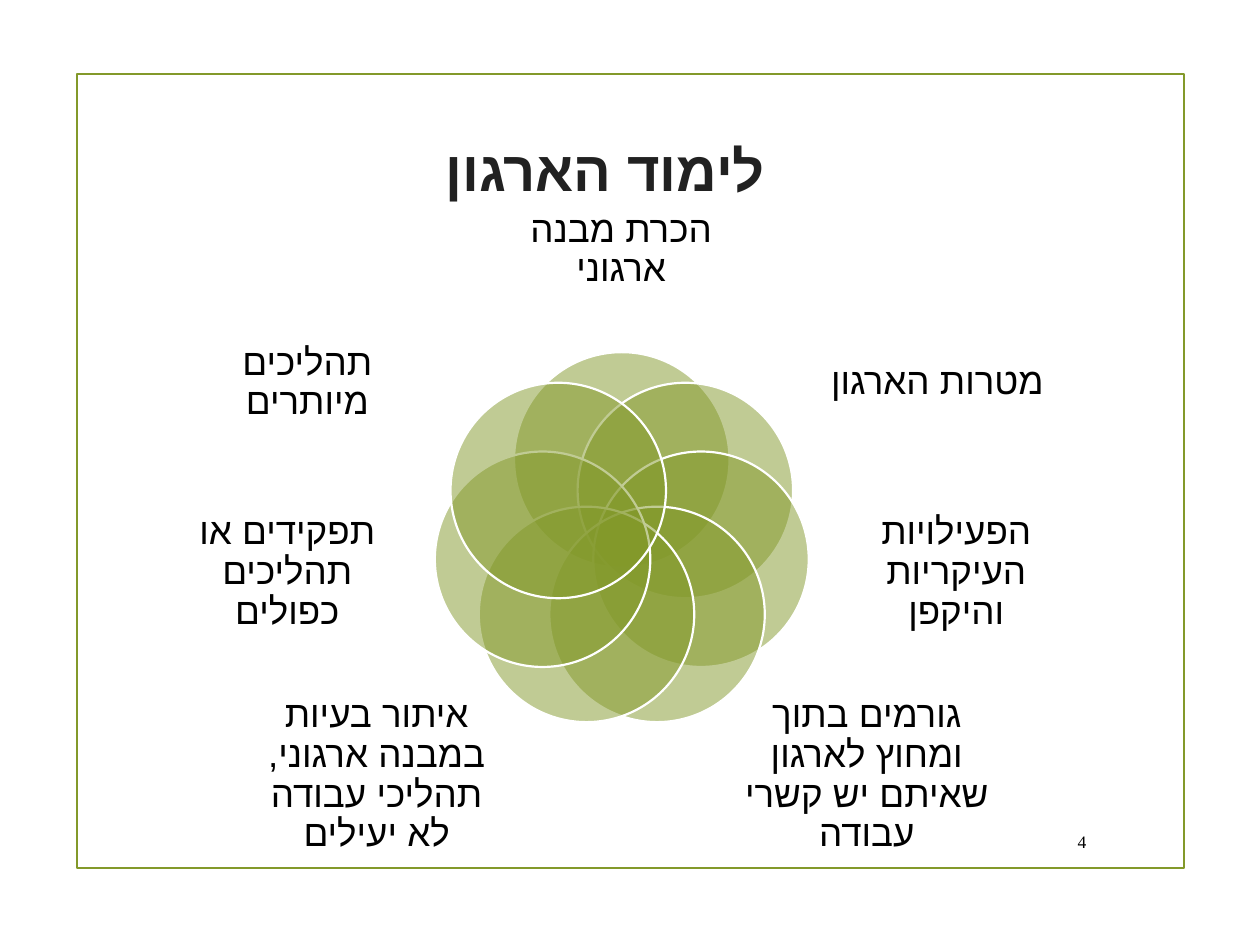
from math import cos, pi, sin

from lxml.etree import SubElement
from pptx import Presentation
from pptx.dml.color import RGBColor
from pptx.enum.shapes import MSO_SHAPE
from pptx.enum.text import MSO_ANCHOR, PP_ALIGN
from pptx.oxml.ns import qn
from pptx.util import Pt

PX = 9144
HUES = {"olive": "83992A", "white": "FFFFFF", "title": "212121", "text": "000000"}
LABELS = [
    ("הכרת מבנה ארגוני", (395, 146, 196, 105)),
    ("מטרות הארגון", (651, 246, 186, 116)),
    ("הפעילויות העיקריות והיקפן", (668, 393, 182, 123)),
    ("גורמים בתוך ומחוץ לארגון שאיתם יש קשרי עבודה", (590, 559, 196, 113)),
    ("איתור בעיות במבנה ארגוני, תהליכי עבודה לא יעילים", (201, 559, 196, 113)),
    ("תפקידים או תהליכים כפולים", (137, 393, 182, 123)),
    ("תהליכים מיותרים", (151, 246, 186, 116)),
]


def emu(box):
    """Turn px lengths into EMU."""
    return [round(n * PX) for n in box]


def write(shape, text, size, face, hue="text", align=PP_ALIGN.CENTER, bold=False, rtl=True):
    """Put one styled paragraph into a shape and return it."""
    frame = shape.text_frame
    frame.word_wrap = True
    frame.vertical_anchor = MSO_ANCHOR.MIDDLE
    para = frame.paragraphs[0]
    para.text = text
    para.alignment = align
    font = para.font
    font.size, font.name, font.bold = Pt(size), face, bold
    font.color.rgb = RGBColor.from_string(HUES[hue])
    if rtl:
        props = para._p.get_or_add_pPr()
        props.set("rtl", "1")
        SubElement(props.find(qn("a:defRPr")), qn("a:cs"), typeface="Arial")
    return para


def draw(slide, kind, box, line):
    """Add an unfilled outline shape."""
    shape = slide.shapes.add_shape(kind, *emu(box))
    shape.shadow.inherit = False
    shape.fill.background()
    shape.line.color.rgb = RGBColor.from_string(HUES[line])
    shape.line.width = Pt(1.25)
    return shape


def head(slide, text, box):
    """Place the title."""
    title = slide.shapes.title
    title.left, title.top, title.width, title.height = emu(box)
    write(title, text, 32, "Arial", "title", bold=True)
    title.text_frame.vertical_anchor = MSO_ANCHOR.BOTTOM


def petal(slide, box):
    """Add one half-clear circle."""
    disc = draw(slide, MSO_SHAPE.OVAL, box, "white")
    disc.fill.solid()
    disc.fill.fore_color.rgb = RGBColor.from_string(HUES["olive"])
    tint = disc.fill._xPr.find(qn("a:solidFill"))[0]
    SubElement(tint, qn("a:alpha"), val="50000")


def label(slide, text, box):
    """Add the caption of a circle."""
    note = slide.shapes.add_textbox(*emu(box))
    frame = note.text_frame
    frame.margin_left = frame.margin_right = frame.margin_top = frame.margin_bottom = 0
    write(note, text, 21, "Times New Roman").line_spacing = 0.9


def flower(slide, box, size):
    """Set equal circles on a ring whose centres span the box."""
    left, top, width, height = box
    for step, (text, place) in enumerate(LABELS):
        turn = 2 * pi * step / len(LABELS)
        x = left + width / 2 * (1 + sin(turn))
        y = top + height / 2 * (1 - cos(turn))
        petal(slide, (x - size / 2, y - size / 2, size, size))
        label(slide, text, place)


def number(slide, text, box):
    """Add the page number."""
    note = slide.shapes.add_textbox(*emu(box))
    write(note, text, 10, "Times New Roman", align=PP_ALIGN.RIGHT, rtl=False)


def main():
    """Build and save the slide."""
    deck = Presentation()
    deck.slide_width, deck.slide_height = emu((1000, 750))
    slide = deck.slides.add_slide(deck.slide_layouts[5])
    draw(slide, MSO_SHAPE.RECTANGLE, (61, 59, 879, 630), "olive")
    head(slide, "לימוד הארגון", (17, 103, 927, 63))
    flower(slide, (429, 365, 129, 129), 171)
    number(slide, "4", (829, 652, 43, 31))
    deck.save("out.pptx")


if __name__ == "__main__":
    main()
